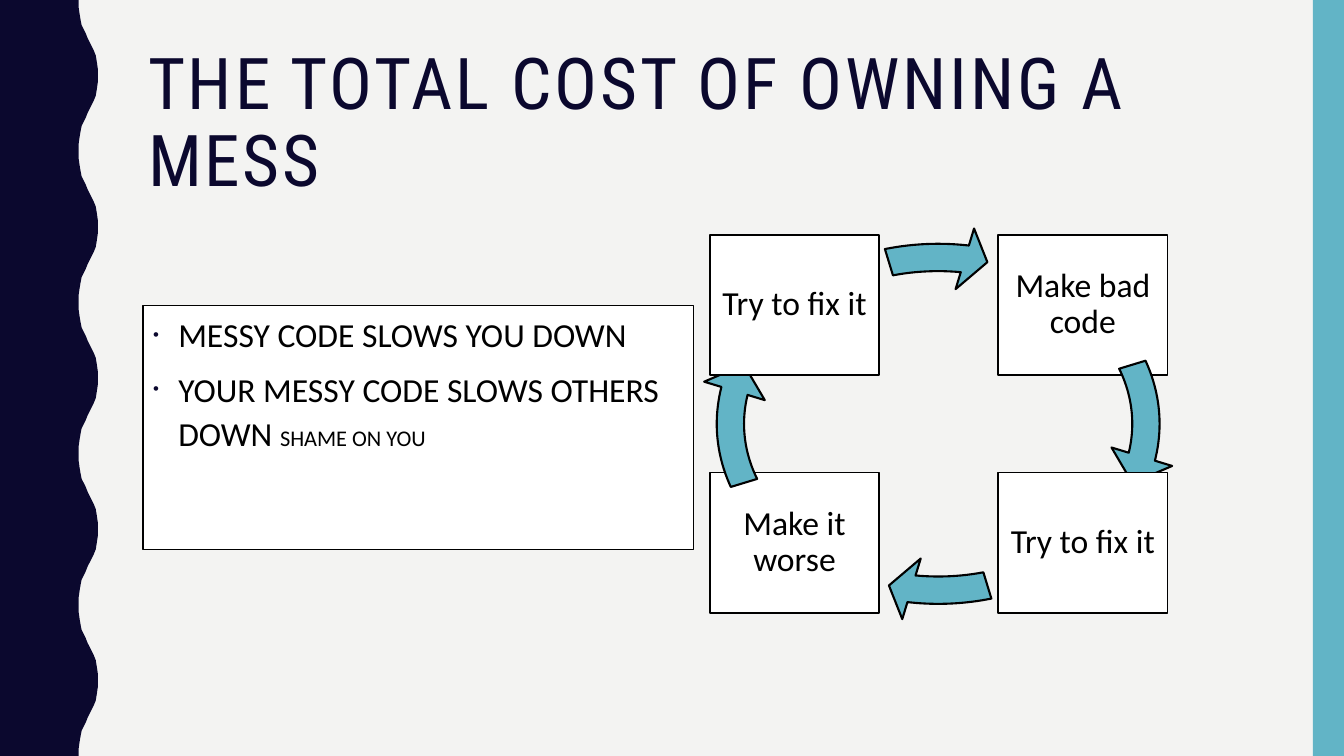
from lxml import etree
from pptx import Presentation
from pptx.dml.color import RGBColor
from pptx.enum import shapes, text
from pptx.oxml.ns import qn
from pptx.util import Inches, Pt

NAVY, TEAL, PAPER, WHITE, BLACK = "0B082E", "62B4C6", "F3F3F2", "FFFFFF", "000000"

TITLE = "THE TOTAL COST OF OWNING A MESS"
BULLETS = [
    [("MESSY CODE SLOWS YOU DOWN", 24)],
    [("YOUR MESSY CODE SLOWS OTHERS DOWN ", 24), ("SHAME ON YOU", 16)],
]
# Clockwise from the top right: label, column, row
STEPS = [
    ("Make bad code", 1, 0),
    ("Try to fix it", 1, 1),
    ("Make it worse", 0, 1),
    ("Try to fix it", 0, 0),
]
# Right edge of the wave over half a period: x, y
WAVE = [
    (0.78, 0), (0.78, 0.07), (0.79, 0.14), (0.8, 0.2), (0.81, 0.25),
    (0.83, 0.29), (0.85, 0.33), (0.87, 0.38), (0.89, 0.42), (0.91, 0.46),
    (0.93, 0.5), (0.95, 0.55), (0.96, 0.61), (0.97, 0.68), (0.97, 0.75),
]
WAVE_PERIOD, WAVE_COUNT = 1.5, 5
SLIDE_WIDTH, SLIDE_HEIGHT = 13.33, 7.5

CYCLE_LEFT, CYCLE_TOP = 7.04, 2.33
COLUMN_STEP, ROW_STEP = 2.86, 2.36
RING = (6.93, 2.24, 4.75, 3.93)
FULL_TURN = 216  # 360 degrees in adjustment units
ARROW_END, ARROW_START = 5.508, -10.159


def color(value):
    return RGBColor.from_string(value)


def paint(shape, fill, line_width=None):
    shape.shadow.inherit = False
    shape.fill.solid()
    shape.fill.fore_color.rgb = color(fill)
    if line_width:
        shape.line.color.rgb = color(BLACK)
        shape.line.width = Pt(line_width)
    else:
        shape.line.fill.background()


def add_shape(kind, box, fill, line_width=None):
    shape = slide.shapes.add_shape(kind, *map(Inches, box))
    paint(shape, fill, line_width)
    return shape


def add_run(paragraph, words, size, font_name, font_color):
    run = paragraph.add_run()
    run.text = words
    run.font.size = Pt(size)
    run.font.name = font_name
    run.font.color.rgb = color(font_color)
    return run


def add_bullet(paragraph):
    properties = paragraph._p.get_or_add_pPr()
    properties.set("marL", str(Inches(0.25)))
    properties.set("indent", str(Inches(-0.25)))
    bullet_color = etree.SubElement(properties, qn("a:buClr"))
    etree.SubElement(bullet_color, qn("a:srgbClr"), val=NAVY)
    etree.SubElement(properties, qn("a:buSzPct"), val="50000")
    etree.SubElement(properties, qn("a:buFont"), typeface="Arial")
    etree.SubElement(properties, qn("a:buChar"), char="•")


def add_wave():
    half = WAVE + [(x, WAVE_PERIOD - y) for x, y in reversed(WAVE[1:-1])]
    edge = [(x, y + period * WAVE_PERIOD)
            for period in range(WAVE_COUNT) for x, y in half]
    edge += [(WAVE[0][0], SLIDE_HEIGHT), (0, SLIDE_HEIGHT)]
    builder = slide.shapes.build_freeform(0, 0)
    builder.add_line_segments([(Inches(x), Inches(y)) for x, y in edge])
    paint(builder.convert_to_shape(), NAVY)


def add_title():
    box = slide.shapes.add_textbox(*map(Inches, (1.37, 0.42, 11.13, 1.63)))
    frame = box.text_frame
    frame.word_wrap = True
    frame.vertical_anchor = text.MSO_ANCHOR.MIDDLE
    paragraph = frame.paragraphs[0]
    paragraph.line_spacing = 0.9
    run = add_run(paragraph, TITLE, 51, "Roboto Condensed", NAVY)
    run.font._element.set("spc", "200")


def add_bullet_box():
    box = add_shape(shapes.MSO_SHAPE.RECTANGLE, (1.42, 3.03, 5.46, 2.42), WHITE, 1)
    frame = box.text_frame
    frame.vertical_anchor = text.MSO_ANCHOR.TOP
    for index, runs in enumerate(BULLETS):
        paragraph = frame.add_paragraph() if index else frame.paragraphs[0]
        paragraph.alignment = text.PP_ALIGN.LEFT
        paragraph.line_spacing = 1.1
        paragraph.space_before = Pt(7)
        add_bullet(paragraph)
        for words, size in runs:
            add_run(paragraph, words, size, "Calibri", BLACK)


def add_step(label, column, row):
    place = (CYCLE_LEFT + column * COLUMN_STEP, CYCLE_TOP + row * ROW_STEP, 1.68, 1.39)
    frame = add_shape(shapes.MSO_SHAPE.RECTANGLE, place, WHITE, 1).text_frame
    frame.margin_left = frame.margin_right = Inches(0.06)
    frame.margin_top = frame.margin_bottom = Inches(0.06)
    frame.vertical_anchor = text.MSO_ANCHOR.MIDDLE
    paragraph = frame.paragraphs[0]
    paragraph.alignment = text.PP_ALIGN.CENTER
    paragraph.line_spacing = 0.9
    add_run(paragraph, label, 24, "Calibri", BLACK)


def add_cycle_arrow(quarter):
    arrow = add_shape(shapes.MSO_SHAPE.CIRCULAR_ARROW, RING, TEAL, 1.5)
    turn = quarter * FULL_TURN / 4
    values = (0.069, 4.65, ARROW_END + turn, (ARROW_START + turn) % FULL_TURN, 0.08)
    for index, value in enumerate(values):
        arrow.adjustments[index] = value


presentation = Presentation()
presentation.slide_width = Inches(SLIDE_WIDTH)
presentation.slide_height = Inches(SLIDE_HEIGHT)
slide = presentation.slides.add_slide(presentation.slide_layouts[6])
slide.background.fill.solid()
slide.background.fill.fore_color.rgb = color(PAPER)

add_wave()
add_shape(shapes.MSO_SHAPE.RECTANGLE, (13.02, 0, 0.31, SLIDE_HEIGHT), TEAL)
add_title()
add_bullet_box()
for quarter, step in enumerate(STEPS):
    add_step(*step)
    add_cycle_arrow(quarter)

presentation.save("out.pptx")
